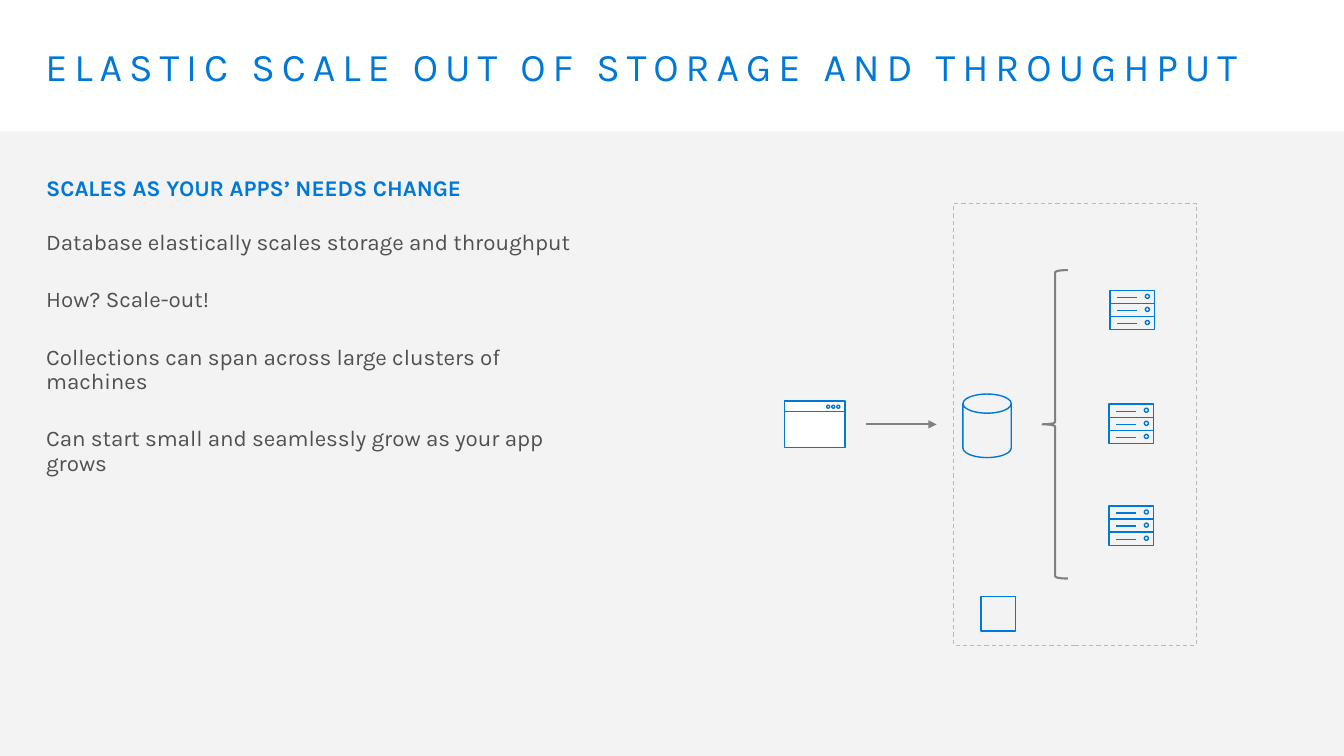
from dataclasses import dataclass

from lxml.etree import SubElement
from pptx import Presentation
from pptx.dml.color import RGBColor
from pptx.enum.dml import MSO_LINE
from pptx.enum.shapes import MSO_CONNECTOR, MSO_SHAPE
from pptx.enum.text import MSO_ANCHOR, PP_ALIGN
from pptx.oxml.ns import qn
from pptx.util import Inches, Pt


@dataclass(frozen=True)
class Theme:
    """Colours, font and sizes of the slide."""
    blue: str = "0078D7"
    text: str = "505050"
    grey: str = "808080"
    border: str = "B9B9B9"
    panel: str = "F2F2F2"
    white: str = "FFFFFF"
    font: str = "Karla"
    title_size: int = 28
    body_size: int = 16
    thin: float = 0.75
    icon: float = 1
    thick: float = 1.5


THEME = Theme()


def paint(shape, fill=None, line=None, width=THEME.icon):
    """Set the fill and outline of a shape and drop its shadow."""
    shape.shadow.inherit = False
    if fill:
        shape.fill.solid()
        shape.fill.fore_color.rgb = RGBColor.from_string(fill)
    else:
        shape.fill.background()
    if line:
        shape.line.color.rgb = RGBColor.from_string(line)
        shape.line.width = Pt(width)
    else:
        shape.line.fill.background()
    return shape


def add_box(shapes, kind, box, **paints):
    """Add a preset shape in a box given in inches."""
    return paint(shapes.add_shape(kind, *map(Inches, box)), **paints)


def add_line(shapes, start, end, color=THEME.blue, width=THEME.icon, arrow=False):
    """Add a straight connector, with an arrowhead if asked."""
    line = shapes.add_connector(MSO_CONNECTOR.STRAIGHT, *map(Inches, start + end))
    line.line.color.rgb = RGBColor.from_string(color)
    line.line.width = Pt(width)
    properties = line._element.spPr
    SubElement(properties, qn("a:effectLst"))
    if arrow:
        SubElement(properties.find(qn("a:ln")), qn("a:tailEnd"), type="triangle")


def add_text_box(page, box, insets):
    """Add a wrapping text box and return its frame."""
    frame = page.shapes.add_textbox(*map(Inches, box)).text_frame
    frame.word_wrap = True
    frame.vertical_anchor = MSO_ANCHOR.TOP
    frame.margin_left = frame.margin_right = Inches(insets[0])
    frame.margin_top = frame.margin_bottom = Inches(insets[1])
    return frame


def write(para, text, size=THEME.body_size, color=THEME.text, bold=False,
          tracking=0, before=0):
    """Write one formatted paragraph."""
    para.alignment = PP_ALIGN.LEFT
    para.line_spacing = 0.9
    para.space_before = Pt(before)
    span = para.add_run()
    span.text = text
    span.font.name = THEME.font
    span.font.size = Pt(size)
    span.font.bold = bold
    span.font.color.rgb = RGBColor.from_string(color)
    if tracking:
        span._r.get_or_add_rPr().set("spc", str(tracking * 100))


def add_backdrop(page, box):
    """Draw the translucent panel below the title."""
    panel = add_box(page.shapes, MSO_SHAPE.RECTANGLE, box, fill=THEME.panel)
    color = panel._element.spPr.find(qn("a:solidFill"))[0]
    SubElement(color, qn("a:alpha"), val="89000")


def add_title(page, box):
    """Write the slide title."""
    frame = add_text_box(page, box, (0.16, 0.1))
    write(frame.paragraphs[0], "ELASTIC SCALE OUT OF STORAGE AND THROUGHPUT",
          size=THEME.title_size, color=THEME.blue, tracking=5)


def add_message(page, box):
    """Write the heading and the statements under it."""
    frame = add_text_box(page, box, (0.1, 0.05))
    write(frame.paragraphs[0], "SCALES AS YOUR APPS’ NEEDS CHANGE",
          color=THEME.blue, bold=True, before=3.2)
    statements = [
        ("Database elastically scales storage and throughput", 21),
        ("How? Scale-out!", 23.8),
        ("Collections can span across large clusters of machines", 23.8),
        ("Can start small and seamlessly grow as your app grows", 23.8),
    ]
    for text, before in statements:
        write(frame.add_paragraph(), text, before=before)


def add_server(page, left, top):
    """Draw a rack of three server units."""
    shapes = page.shapes.add_group_shape().shapes
    for row in range(3):
        y = top + row * 0.13
        add_box(shapes, MSO_SHAPE.RECTANGLE, (left, y, 0.44, 0.13), line=THEME.blue)
        add_box(shapes, MSO_SHAPE.OVAL, (left + 0.35, y + 0.04, 0.04, 0.04), line=THEME.blue)
        add_line(shapes, (left + 0.07, y + 0.07), (left + 0.27, y + 0.07))


def add_app_window(page, box):
    """Draw the application window."""
    left, top, width, _ = box
    shapes = page.shapes.add_group_shape().shapes
    add_box(shapes, MSO_SHAPE.RECTANGLE, box, fill=THEME.white, line=THEME.blue)
    add_line(shapes, (left + width, top + 0.1), (left, top + 0.1))
    for index in range(3):
        add_box(shapes, MSO_SHAPE.OVAL,
                (left + 0.42 + index * 0.05, top + 0.04, 0.03, 0.03), line=THEME.blue)


def add_diagram(page, box):
    """Draw the app, the database and the servers it spreads over."""
    left, top, _, height = box
    cluster = add_box(page.shapes, MSO_SHAPE.RECTANGLE, (left + 1.68, top, 2.41, height),
                      line=THEME.border, width=THEME.thin)
    cluster.line.dash_style = MSO_LINE.DASH
    add_box(page.shapes, MSO_SHAPE.RECTANGLE, (left + 1.95, top + 3.9, 0.34, 0.34),
            line=THEME.blue)
    database = add_box(page.shapes, MSO_SHAPE.CAN, (left + 1.77, top + 1.89, 0.48, 0.63),
                       line=THEME.blue)
    database.adjustments[0] = 0.395
    add_line(page.shapes, (left + 0.81, top + 2.19), (left + 1.51, top + 2.19),
             color=THEME.grey, width=THEME.thick, arrow=True)
    for x, y in ((3.23, 0.86), (3.22, 1.99), (3.22, 3)):
        add_server(page, left + x, top + y)
    add_app_window(page, (left, top + 1.96, 0.6, 0.46))
    add_box(page.shapes, MSO_SHAPE.LEFT_BRACE, (left + 2.56, top + 0.66, 0.25, 3.06),
            line=THEME.grey, width=THEME.thick)


def main():
    """Build the deck and save it."""
    deck = Presentation()
    deck.slide_width, deck.slide_height = Inches(13.33), Inches(7.5)
    page = deck.slides.add_slide(deck.slide_layouts[6])
    add_backdrop(page, (0, 1.3, 13.33, 6.2))
    add_title(page, (0.29, 0.37, 12.75, 0.98))
    add_diagram(page, (7.78, 2.02, 4.09, 4.38))
    add_message(page, (0.36, 1.71, 5.47, 2.68))
    deck.save("out.pptx")


if __name__ == "__main__":
    main()
